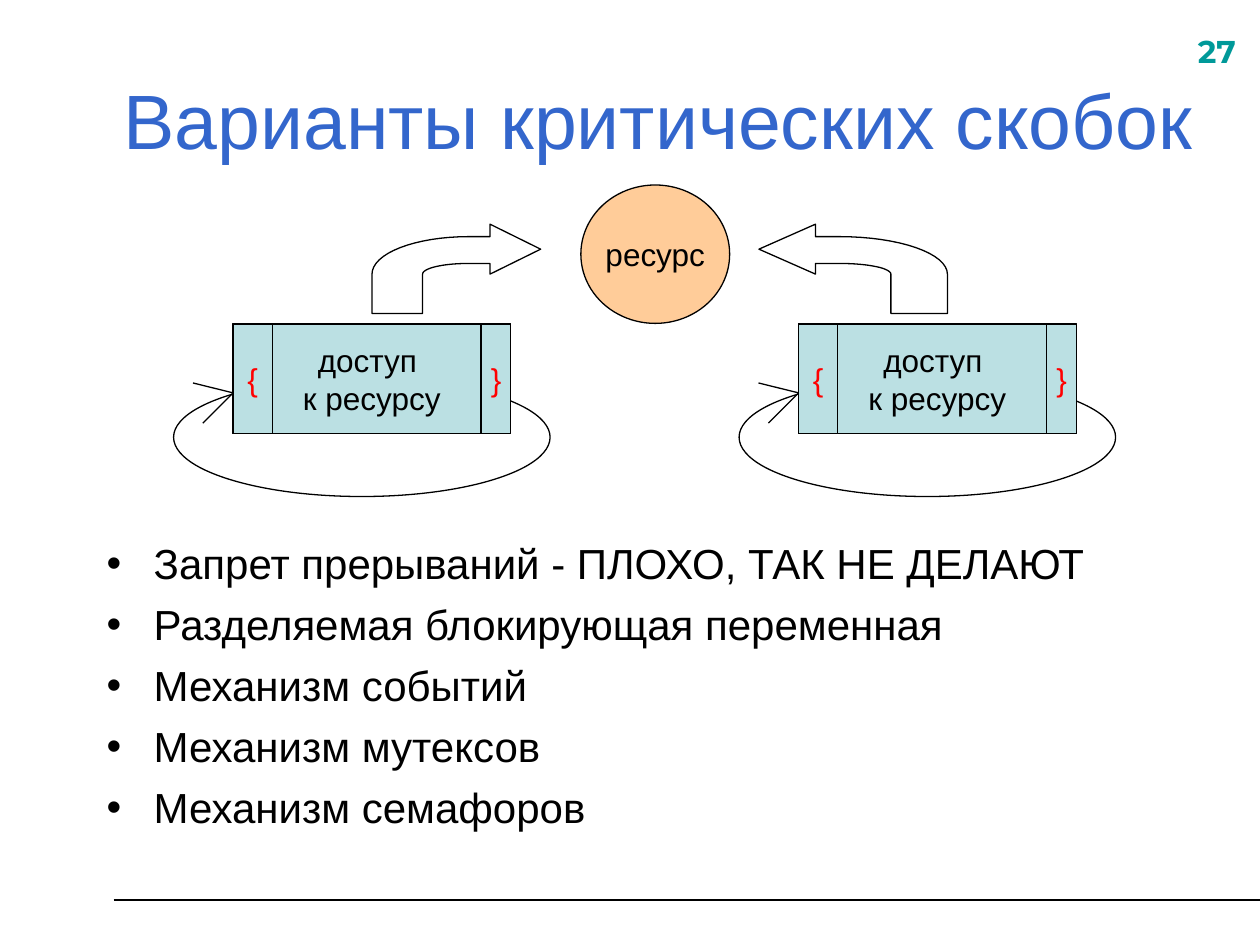
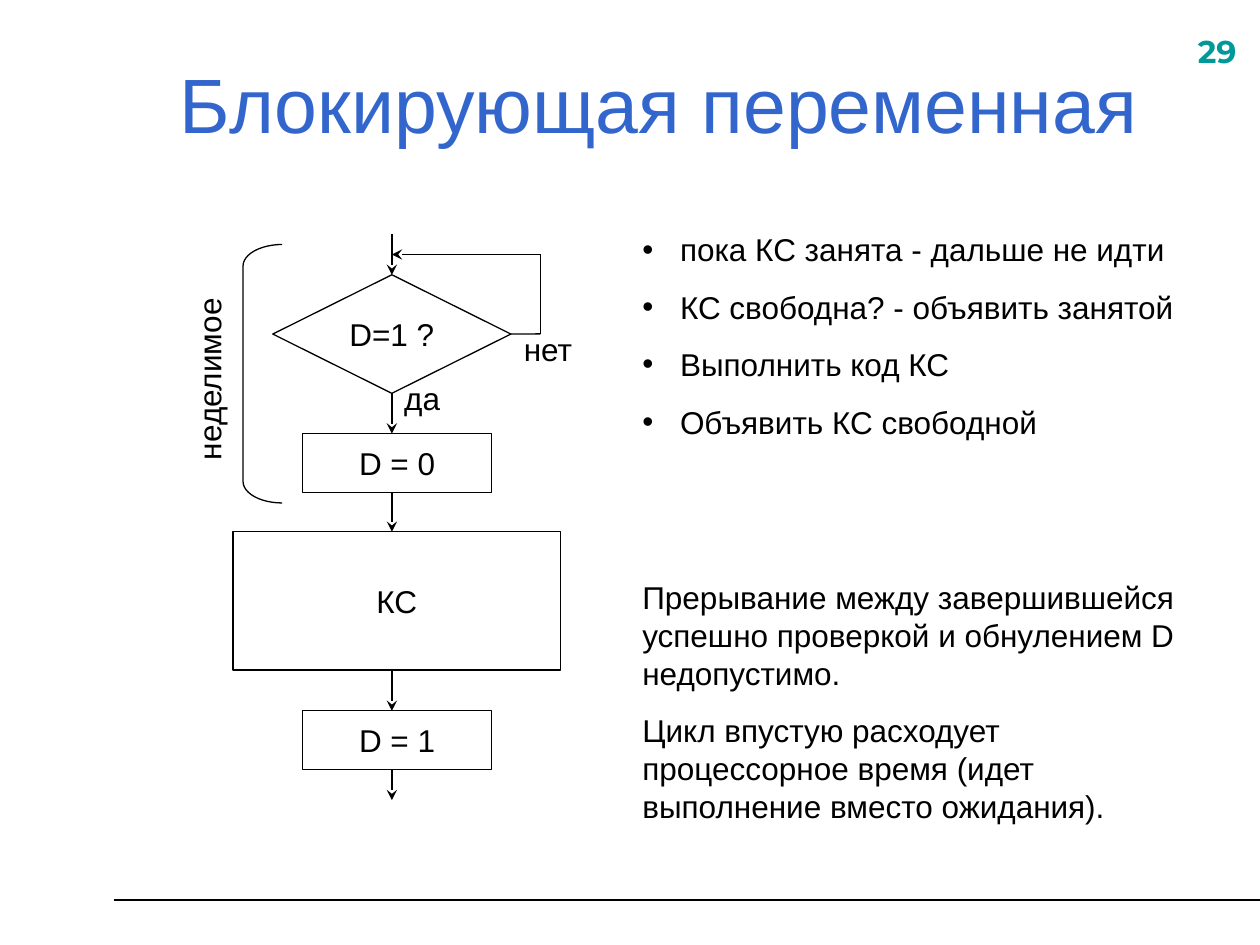
"""Build two slides on critical brackets and the blocking variable."""
from math import cos, pi, sin

from lxml.etree import SubElement
from pptx import Presentation
from pptx.dml.color import RGBColor
from pptx.enum.shapes import MSO_CONNECTOR, MSO_SHAPE
from pptx.enum.text import MSO_ANCHOR, PP_ALIGN
from pptx.oxml.ns import qn
from pptx.util import Cm, Pt

BLACK = RGBColor(0, 0, 0)
TITLE_BLUE = RGBColor(0x33, 0x66, 0xCC)
NUMBER_TEAL = RGBColor(0, 0x99, 0x99)
BRACE_RED = RGBColor(0xFF, 0, 0)
ACCESS_FILL = RGBColor(0xBB, 0xE0, 0xE3)
RESOURCE_FILL = RGBColor(0xFF, 0xCC, 0x99)
TOP, BOTTOM, RIGHT = 0, 2, 3


def set_font(paragraph, size=18, color=BLACK, name="Arial", bold=False):
    """Set the font of a whole paragraph."""
    font = paragraph.font
    font.size, font.name, font.bold = Pt(size), name, bold
    font.color.rgb = color


def add_bullet(paragraph, indent):
    """Give a paragraph a round bullet with a hanging indent in cm."""
    properties = paragraph._p.get_or_add_pPr()
    properties.set("marL", str(Cm(indent)))
    properties.set("indent", str(-Cm(indent)))
    SubElement(properties, qn("a:buFont")).set("typeface", "Arial")
    SubElement(properties, qn("a:buChar")).set("char", "•")


def add_text(slide, box, lines, space=0.0, indent=0.0, **font):
    """Add a text box with one paragraph per line, bulleted if indented."""
    shape = slide.shapes.add_textbox(*map(Cm, box))
    frame = shape.text_frame
    frame.word_wrap = True
    for index, line in enumerate(lines):
        paragraph = frame.add_paragraph() if index else frame.paragraphs[0]
        paragraph.text = line
        if indent:
            add_bullet(paragraph, indent)
        if index:
            paragraph.space_before = Pt(space)
        set_font(paragraph, **font)
    return shape


def style_outline(shape, fill=None):
    """Give a shape a thin black line and an optional fill."""
    shape.shadow.inherit = False
    shape.line.color.rgb = BLACK
    shape.line.width = Pt(0.75)
    if fill is None:
        shape.fill.background()
    else:
        shape.fill.solid()
        shape.fill.fore_color.rgb = fill


def add_node(shapes, kind, box, text="", fill=None, color=BLACK):
    """Add an outlined preset shape with a centred label."""
    shape = shapes.add_shape(kind, *map(Cm, box))
    style_outline(shape, fill)
    if text:
        frame = shape.text_frame
        frame.word_wrap = False
        frame.vertical_anchor = MSO_ANCHOR.MIDDLE
        paragraph = frame.paragraphs[0]
        paragraph.text = text
        paragraph.alignment = PP_ALIGN.CENTER
        set_font(paragraph, color=color)
    return shape


def add_line(shapes, start, end, arrow=False, width=0.75):
    """Add a straight black line, with an arrowhead at its end on request."""
    connector = shapes.add_connector(MSO_CONNECTOR.STRAIGHT, *map(Cm, start + end))
    connector.line.color.rgb = BLACK
    connector.line.width = Pt(width)
    properties = connector.element.spPr
    if arrow:
        SubElement(properties.find(qn("a:ln")), qn("a:tailEnd")).set("type", "stealth")
    SubElement(properties, qn("a:effectLst"))
    return connector


def add_slide(presentation, title, title_height, number):
    """Add a blank slide with the shared title, number and bottom rule."""
    slide = presentation.slides.add_slide(presentation.slide_layouts[6])
    add_line(slide.shapes, (2.29, 18.14), (25.4, 18.14), width=1.25)
    add_text(slide, (23.9, 0.53, 1.6, 1.12), [number],
             color=NUMBER_TEAL, name="Montserrat", bold=True)
    heading = add_text(slide, (1.85, 0.81, 22.86, title_height), [title],
                       size=44, color=TITLE_BLUE)
    heading.text_frame.vertical_anchor = MSO_ANCHOR.MIDDLE
    heading.text_frame.paragraphs[0].alignment = PP_ALIGN.CENTER
    return slide


def add_access_block(slide, left):
    """Add a looping process whose resource access sits between braces."""
    shapes = slide.shapes.add_group_shape().shapes
    top, height = 6.53, 2.21
    add_node(shapes, MSO_SHAPE.OVAL, (left - 1.2, 7.62, 7.59, 2.39))
    for offset, width, text, color in (
        (0, 5.59, "доступ \vк ресурсу", BLACK),
        (0, 0.79, "{", BRACE_RED),
        (5, 0.6, "}", BRACE_RED),
    ):
        add_node(shapes, MSO_SHAPE.RECTANGLE, (left + offset, top, width, height),
                 text, ACCESS_FILL, color)
    for end in ((left - 0.81, 7.72), (left - 0.61, 8.53)):
        add_line(shapes, (left, 7.92), end)


def quarter_arc(radius_x, radius_y, steps=16):
    """Return arc points from the left to the top of the arrow's bend."""
    angles = [pi / 2 * step / steps for step in range(steps + 1)]
    return [(0.57 - radius_x * cos(a), 0.56 - radius_y * sin(a)) for a in angles]


def add_bent_arrow(slide, tail_x, width):
    """Add a curved block arrow; a negative width points it left."""
    head = [(0.7, 0.14), (0.7, 0), (1, 0.28), (0.7, 0.56), (0.7, 0.44)]
    outline = ([(0, 1)] + quarter_arc(0.57, 0.42) + head
               + quarter_arc(0.27, 0.12)[::-1] + [(0.3, 1)])
    points = [(Cm(tail_x + width * x), Cm(4.52 + 1.8 * y)) for x, y in outline]
    builder = slide.shapes.build_freeform(*points[0])
    builder.add_line_segments(points[1:], close=True)
    style_outline(builder.convert_to_shape())


def build_brackets_slide(presentation):
    """Show two processes sharing a resource and the kinds of bracket."""
    slide = add_slide(presentation, "Варианты критических скобок", 3.18, "27")
    add_text(slide, (1.9, 10.72, 22.86, 6.81), [
        "Запрет прерываний - ПЛОХО, ТАК НЕ ДЕЛАЮТ",
        "Разделяемая блокирующая переменная",
        "Механизм событий",
        "Механизм мутексов",
        "Механизм семафоров",
    ], space=6, indent=0.95, size=24)
    for left in (4.7, 16.1):
        add_access_block(slide, left)
    add_node(slide.shapes, MSO_SHAPE.OVAL, (11.71, 3.73, 3, 2.79), "ресурс", RESOURCE_FILL)
    add_bent_arrow(slide, 7.5, 3.4)
    add_bent_arrow(slide, 19.1, -3.8)


def add_flowchart(slide):
    """Draw the check, capture, section and release of the variable."""
    shapes = slide.shapes
    axis, loop_x, loop_y = 7.9, 10.9, 5.13
    decision = add_node(shapes, MSO_SHAPE.FLOWCHART_DECISION,
                        (5.5, 5.54, 4.8, 2.39), "D=1 ?")
    for left, top, width, height, text in (
        (6.1, 8.74, 3.81, 1.19, "D = 0"),
        (4.7, 10.72, 6.6, 2.79, "КС"),
        (6.1, 14.33, 3.81, 1.19, "D = 1"),
    ):
        add_node(shapes, MSO_SHAPE.RECTANGLE, (left, top, width, height), text)
    flow = ((4.72, 5.54), (7.93, 8.74), (9.93, 10.72), (13.51, 14.33), (15.52, 16.13))
    arrows = [add_line(shapes, (axis, start), (axis, end), arrow=True)
              for start, end in flow]
    arrows[0].end_connect(decision, TOP)
    arrows[1].begin_connect(decision, BOTTOM)
    retry = add_line(shapes, (10.3, 6.73), (loop_x, 6.73))
    retry.begin_connect(decision, RIGHT)
    add_line(shapes, (loop_x, 6.73), (loop_x, loop_y))
    add_line(shapes, (loop_x, loop_y), (axis, loop_y), arrow=True)
    add_text(slide, (10.31, 6.53, 1.8, 1.02), ["нет"])
    add_text(slide, (axis, 7.52, 3.2, 1.02), ["да"])
    bracket = add_node(shapes, MSO_SHAPE.LEFT_BRACKET, (4.9, 4.93, 0.79, 5.21))
    bracket.adjustments[0] = 0.55
    label = add_text(slide, (2.31, 7.11, 3.81, 1.02), ["неделимое"])
    label.text_frame.word_wrap = False
    label.rotation = 270


def build_variable_slide(presentation):
    """Explain the blocking variable with a flowchart and notes."""
    slide = add_slide(presentation, "Блокирующая переменная", 2.51, "29")
    add_flowchart(slide)
    add_text(slide, (12.7, 4.52, 11.61, 4.5), [
        "пока КС занята - дальше не идти",
        "КС свободна? - объявить занятой",
        "Выполнить код КС",
        "Объявить КС свободной",
    ], space=11.2, indent=0.76)
    add_text(slide, (12.7, 11.53, 11.81, 5.23), [
        "Прерывание между завершившейся успешно проверкой и обнулением D недопустимо.",
        "Цикл впустую расходует процессорное время (идет выполнение вместо ожидания).",
    ], space=11.2)


def main():
    """Build the presentation and save it."""
    presentation = Presentation()
    presentation.slide_width, presentation.slide_height = Cm(25.4), Cm(19.05)
    build_brackets_slide(presentation)
    build_variable_slide(presentation)
    presentation.save("out.pptx")


if __name__ == "__main__":
    main()
